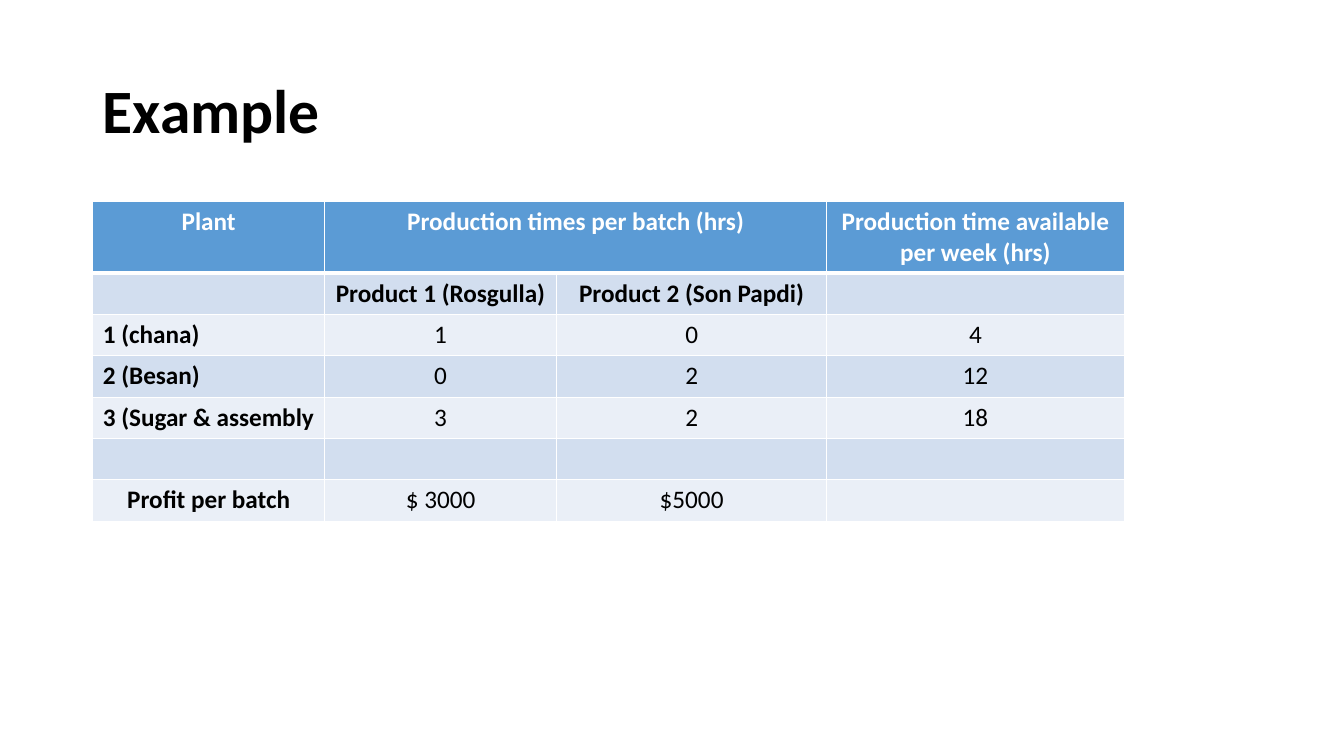
from dataclasses import dataclass

from lxml import etree
from pptx import Presentation
from pptx.dml.color import RGBColor
from pptx.enum.text import MSO_ANCHOR, PP_ALIGN
from pptx.oxml.ns import qn
from pptx.util import Inches, Pt

LEFT, CENTER = PP_ALIGN.LEFT, PP_ALIGN.CENTER
MIDDLE = MSO_ANCHOR.MIDDLE
TITLE_ONLY = 5


@dataclass(frozen=True)
class Theme:
    font: str = "Calibri"
    title_size: int = 44
    table_size: int = 18
    text: str = "000000"
    header_text: str = "FFFFFF"
    header_fill: str = "5B9BD5"
    bands: tuple = ("EAEFF7", "D2DEEF")
    border: str = "FFFFFF"


THEME = Theme()
MARGIN = 0.92
TABLE_TOP = 2
COLUMN_WIDTHS = (2.3, 2.3, 2.68, 2.95)
HEADER_HEIGHT, ROW_HEIGHT = 0.7, 0.41
ROWS = (
    ("Plant", "Production times per batch (hrs)", "", "Production time available per week (hrs)"),
    ("", "Product 1 (Rosgulla)", "Product 2 (Son Papdi)", ""),
    ("1 (chana)", "1", "0", "4"),
    ("2 (Besan)", "0", "2", "12"),
    ("3 (Sugar & assembly", "3", "2", "18"),
    ("", "", "", ""),
    ("Profit per batch", "$ 3000", "$5000", ""),
)
HEADING_ROWS = 2
PLANT_ROWS = range(2, 5)


def format_paragraph(paragraph, size, color, bold, alignment):
    paragraph.alignment = alignment
    font = paragraph.font
    font.name, font.size, font.bold = THEME.font, Pt(size), bold
    font.color.rgb = RGBColor.from_string(color)


def add_borders(cell, bottom_width):
    properties = cell._tc.get_or_add_tcPr()
    for side, width in (("L", 1), ("R", 1), ("T", 1), ("B", bottom_width)):
        line = etree.SubElement(properties, qn(f"a:ln{side}"), w=str(Pt(width)))
        fill = etree.SubElement(line, qn("a:solidFill"))
        etree.SubElement(fill, qn("a:srgbClr"), val=THEME.border)


presentation = Presentation()
presentation.slide_width = Inches(13.33)
presentation.slide_height = Inches(7.5)
slide = presentation.slides.add_slide(presentation.slide_layouts[TITLE_ONLY])

title = slide.shapes.title
title.left, title.top = Inches(MARGIN), Inches(0.4)
title.width, title.height = Inches(11.5), Inches(1.45)
title.text_frame.text = "Example"
title.text_frame.vertical_anchor = MIDDLE
title_paragraph = title.text_frame.paragraphs[0]
title_paragraph.line_spacing = 0.9
format_paragraph(title_paragraph, THEME.title_size, THEME.text, True, LEFT)

table_height = HEADER_HEIGHT + ROW_HEIGHT * (len(ROWS) - 1)
table = slide.shapes.add_table(
    len(ROWS), len(COLUMN_WIDTHS), Inches(MARGIN), Inches(TABLE_TOP),
    Inches(sum(COLUMN_WIDTHS)), Inches(table_height),
).table
table.first_col = True
for column, width in zip(table.columns, COLUMN_WIDTHS):
    column.width = Inches(width)

for row_index, values in enumerate(ROWS):
    is_header = row_index == 0
    table.rows[row_index].height = Inches(HEADER_HEIGHT if is_header else ROW_HEIGHT)
    fill_color = THEME.header_fill if is_header else THEME.bands[row_index % 2]
    text_color = THEME.header_text if is_header else THEME.text
    for column_index, value in enumerate(values):
        cell = table.cell(row_index, column_index)
        add_borders(cell, 3 if is_header else 1)
        cell.fill.solid()
        cell.fill.fore_color.rgb = RGBColor.from_string(fill_color)
        cell.text = value
        is_plant = column_index == 0 and row_index in PLANT_ROWS
        bold = row_index < HEADING_ROWS or column_index == 0
        format_paragraph(cell.text_frame.paragraphs[0], THEME.table_size, text_color,
                         bold, LEFT if is_plant else CENTER)

table.cell(0, 1).merge(table.cell(0, 2))

presentation.save("out.pptx")
